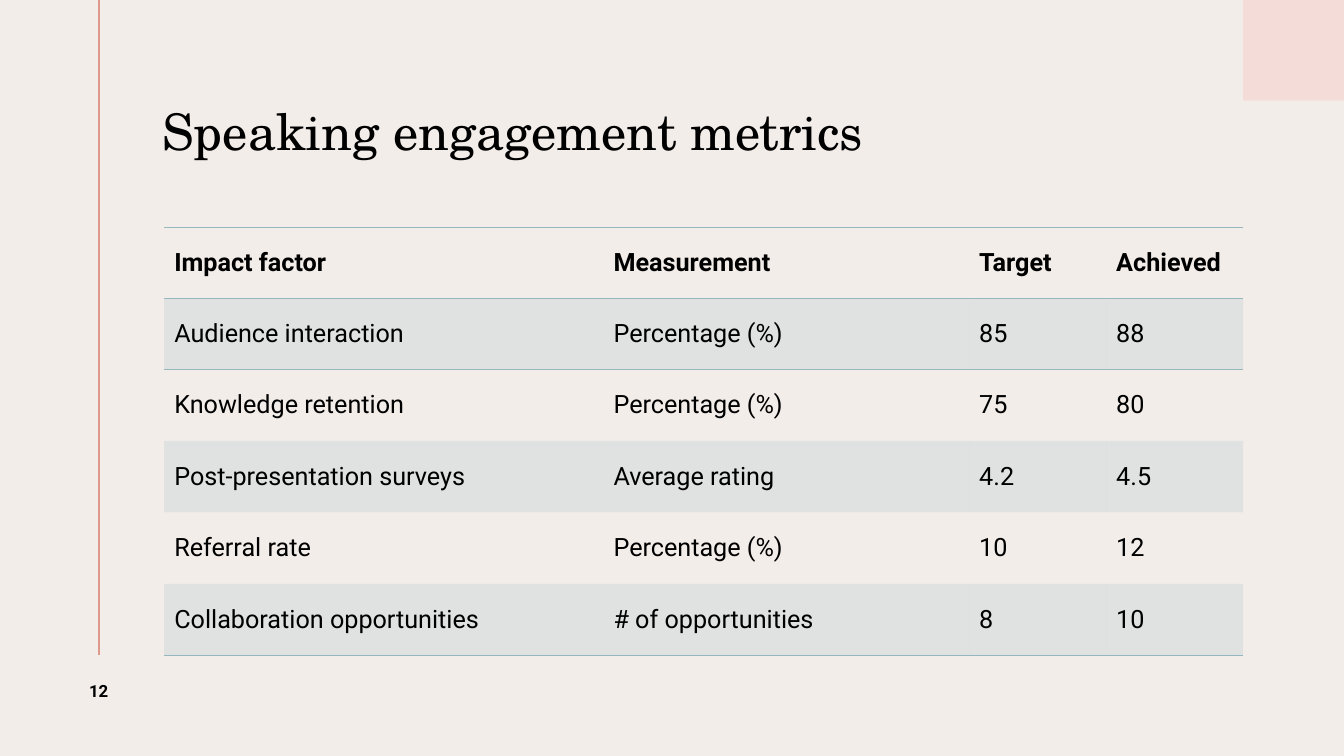
from lxml.etree import SubElement
from pptx import Presentation
from pptx.dml.color import RGBColor as RGB
from pptx.enum.shapes import MSO_CONNECTOR as Link, MSO_SHAPE as Shape
from pptx.enum.text import MSO_ANCHOR as Anchor, MSO_AUTO_SIZE as Fit, PP_ALIGN as Align
from pptx.oxml.ns import qn
from pptx.util import Inches, Pt

CREAM = RGB(0xF3, 0xED, 0xEA)
BLUSH = RGB(0xF4, 0xDD, 0xD8)
CORAL = RGB(0xDF, 0x99, 0x8B)
TEAL = RGB(0x95, 0xB8, 0xBF)
BLACK = RGB(0, 0, 0)
SERIF, SANS = "TeX Gyre Schola", "Roboto"
WIDE, HIGH = 13.34, 7.5
SIDE = 1
LEFT, TOP, FOOT = 1.63, 2.25, 6.5
RULE = 0.98
COLS = [4.36, 3.63, 1.36, 1.36]
PLAIN = "{2D5ABB26-0587-4C30-8999-92F81FD0307C}"
ROWS = [
    ("Impact factor", "Measurement", "Target", "Achieved"),
    ("Audience interaction", "Percentage (%)", "85", "88"),
    ("Knowledge retention", "Percentage (%)", "75", "80"),
    ("Post-presentation surveys", "Average rating", "4.2", "4.5"),
    ("Referral rate", "Percentage (%)", "10", "12"),
    ("Collaboration opportunities", "# of opportunities", "8", "10"),
]


def write(frame, text, size, face, bold=False, align=Align.LEFT):
    para = frame.paragraphs[0]
    para.alignment = align
    run = para.add_run()
    run.text = text
    font = run.font
    font.size, font.name, font.bold = Pt(size), face, bold
    font.color.rgb = BLACK
    return para


def place(shape, *box):
    shape.left, shape.top, shape.width, shape.height = map(Inches, box)


def add_title(slide):
    title = slide.shapes.title
    place(title, 1.61, 0.55, 10.73, 1.56)
    frame = title.text_frame
    frame.word_wrap, frame.auto_size = True, Fit.NONE
    frame.vertical_anchor = Anchor.MIDDLE
    frame.margin_left = 0
    write(frame, "Speaking engagement metrics", 36, SERIF).line_spacing = 0.9


def add_decor(slide):
    block = slide.shapes.add_shape(Shape.RECTANGLE, 0, 0, 0, 0)
    place(block, WIDE - SIDE, 0, SIDE, SIDE)
    block.shadow.inherit = False
    block.fill.solid()
    block.fill.fore_color.rgb = BLUSH
    block.line.fill.background()
    rule = slide.shapes.add_connector(
        Link.STRAIGHT, Inches(RULE), 0, Inches(RULE), Inches(FOOT))
    rule.line.color.rgb = CORAL
    rule.line.width = Pt(1.5)
    SubElement(rule._element.spPr, qn("a:effectLst"))


def tint(cell):
    cell.fill.solid()
    cell.fill.fore_color.rgb = TEAL
    color = cell._tc.tcPr.find(".//" + qn("a:srgbClr"))
    SubElement(color, qn("a:alpha"), val="20000")


def edge(cell, sides):
    props = cell._tc.get_or_add_tcPr()
    for spot, side in enumerate(sides):
        line = SubElement(props, qn("a:ln" + side), w=str(Pt(0.45)))
        fill = SubElement(line, qn("a:solidFill"))
        SubElement(fill, qn("a:srgbClr"), val=str(TEAL))
        props.insert(spot, line)


def add_grid(slide):
    grid = slide.shapes.add_table(
        len(ROWS), len(COLS), Inches(LEFT), Inches(TOP),
        Inches(sum(COLS)), Inches(FOOT - TOP)).table
    grid._tbl.tblPr.find(qn("a:tableStyleId")).text = PLAIN
    grid.horz_banding = False
    for col, width in zip(grid.columns, COLS):
        col.width = Inches(width)
    edges = {0: "TB", 1: "T", len(ROWS) - 1: "B"}
    for r, row in enumerate(ROWS):
        for c, text in enumerate(row):
            cell = grid.cell(r, c)
            cell.vertical_anchor = Anchor.MIDDLE
            write(cell.text_frame, text, 18, SANS, r == 0)
            if r % 2:
                tint(cell)
            else:
                cell.fill.background()
            edge(cell, edges.get(r, ""))


def add_number(slide):
    box = slide.shapes.add_textbox(0, 0, 0, 0)
    place(box, 0.45, FOOT, 1.06, 0.71)
    frame = box.text_frame
    frame.word_wrap = True
    frame.vertical_anchor = Anchor.MIDDLE
    write(frame, "12", 12, SANS, True, Align.CENTER)


def main():
    deck = Presentation()
    deck.slide_width, deck.slide_height = Inches(WIDE), Inches(HIGH)
    slide = deck.slides.add_slide(deck.slide_layouts[5])
    slide.background.fill.solid()
    slide.background.fill.fore_color.rgb = CREAM
    add_decor(slide)
    add_title(slide)
    add_grid(slide)
    add_number(slide)
    deck.save("out.pptx")


if __name__ == "__main__":
    main()
